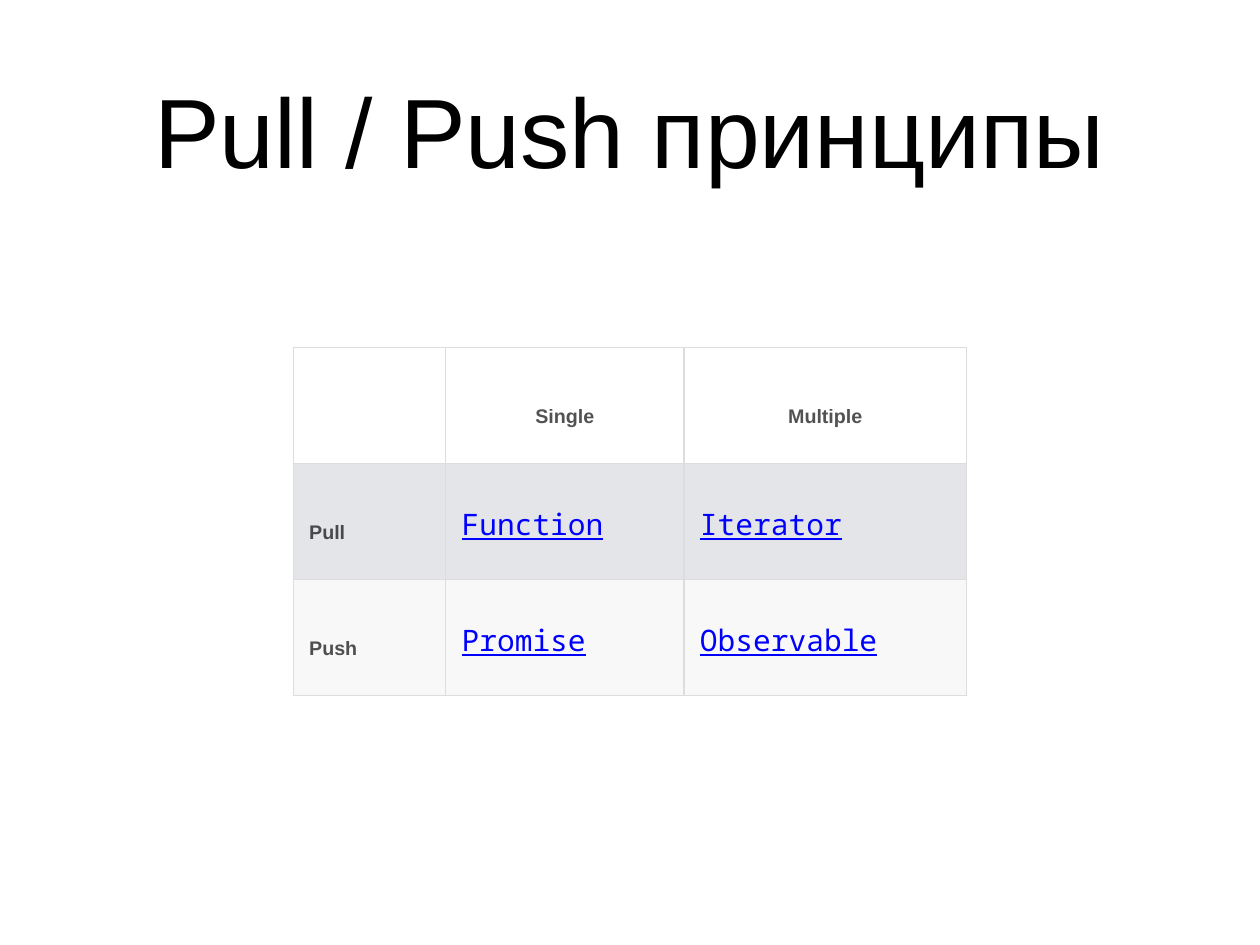
from lxml.etree import SubElement
from pptx import Presentation
from pptx.dml.color import RGBColor
from pptx.enum.text import MSO_ANCHOR as Anchor, PP_ALIGN as Align
from pptx.oxml import parse_xml
from pptx.oxml.ns import nsdecls, qn
from pptx.util import Inches, Pt

BLACK = RGBColor(0x00, 0x00, 0x00)
WHITE = RGBColor(0xFF, 0xFF, 0xFF)
LINK_BLUE = RGBColor(0x00, 0x00, 0xFF)
PULL_GREY = RGBColor(0xE3, 0xE5, 0xE8)
PUSH_GREY = RGBColor(0xF8, 0xF8, 0xF8)
BORDER_GREY = RGBColor(0xDD, 0xDD, 0xDD)

ROWS = [
    (WHITE, ["", "Single", "Multiple"]),
    (PULL_GREY, ["Pull", "Function", "Iterator"]),
    (PUSH_GREY, ["Push", "Promise", "Observable"]),
]
COLUMN_WIDTHS = [1.72, 2.69, 3.19]
ROW_HEIGHT = 1.31


def style_font(font, name, size, color):
    font.name = name
    font.size = Pt(size)
    font.color.rgb = color


def add_title(slide, text):
    title = slide.shapes.add_textbox(Inches(1.04), Inches(0.28), Inches(12.14), Inches(2.36))
    frame = title.text_frame
    frame.word_wrap = True
    frame.vertical_anchor = Anchor.MIDDLE
    frame.margin_left = frame.margin_right = Inches(0.06)
    frame.margin_top = frame.margin_bottom = Inches(0.06)
    paragraph = frame.paragraphs[0]
    paragraph.text = text
    paragraph.alignment = Align.CENTER
    style_font(paragraph.font, "Arial", 80, BLACK)


def set_borders(cell):
    properties = cell._tc.get_or_add_tcPr()
    for index, side in enumerate(["lnL", "lnR", "lnT", "lnB"]):
        border = parse_xml(
            f'<a:{side} {nsdecls("a")} w="{Pt(1)}"><a:solidFill>'
            f'<a:srgbClr val="{BORDER_GREY}"/></a:solidFill></a:{side}>'
        )
        properties.insert(index, border)


def set_opacity(paragraph, percent):
    for color in paragraph._p.iter(qn("a:srgbClr")):
        SubElement(color, qn("a:alpha")).set("val", str(percent * 1000))


def fill_cell(cell, text, fill, is_header, is_link):
    cell.fill.solid()
    cell.fill.fore_color.rgb = fill
    set_borders(cell)
    cell.vertical_anchor = Anchor.MIDDLE
    cell.margin_left = cell.margin_right = Inches(0.18)
    cell.margin_top = cell.margin_bottom = Inches(0.08)
    if not text:
        return
    paragraph = cell.text_frame.paragraphs[0]
    paragraph.text = text
    paragraph.alignment = Align.CENTER if is_header else Align.LEFT
    paragraph.line_spacing = Pt(37)
    if is_link:
        style_font(paragraph.font, "Noto Sans Mono", 24, LINK_BLUE)
        paragraph.font.underline = True
    else:
        style_font(paragraph.font, "Arial", 16, BLACK)
        paragraph.font.bold = True
        set_opacity(paragraph, 68)


def add_principles_table(slide):
    frame = slide.shapes.add_table(
        len(ROWS), len(COLUMN_WIDTHS), Inches(3.31), Inches(3.92),
        Inches(sum(COLUMN_WIDTHS)), Inches(ROW_HEIGHT * len(ROWS)),
    )
    table = frame.table
    table.first_row = table.horz_banding = False
    for column, width in zip(table.columns, COLUMN_WIDTHS):
        column.width = Inches(width)
    for row_index, (fill, texts) in enumerate(ROWS):
        table.rows[row_index].height = Inches(ROW_HEIGHT)
        for column_index, text in enumerate(texts):
            fill_cell(
                table.cell(row_index, column_index), text, fill,
                is_header=row_index == 0,
                is_link=row_index > 0 and column_index > 0,
            )


def main():
    presentation = Presentation()
    presentation.slide_width = Inches(14.22)
    presentation.slide_height = Inches(10.67)
    slide = presentation.slides.add_slide(presentation.slide_layouts[6])

    # Heading
    add_title(slide, "Pull / Push принципы")

    # Pull and push compared for single and multiple values
    add_principles_table(slide)

    presentation.save("out.pptx")


if __name__ == "__main__":
    main()
